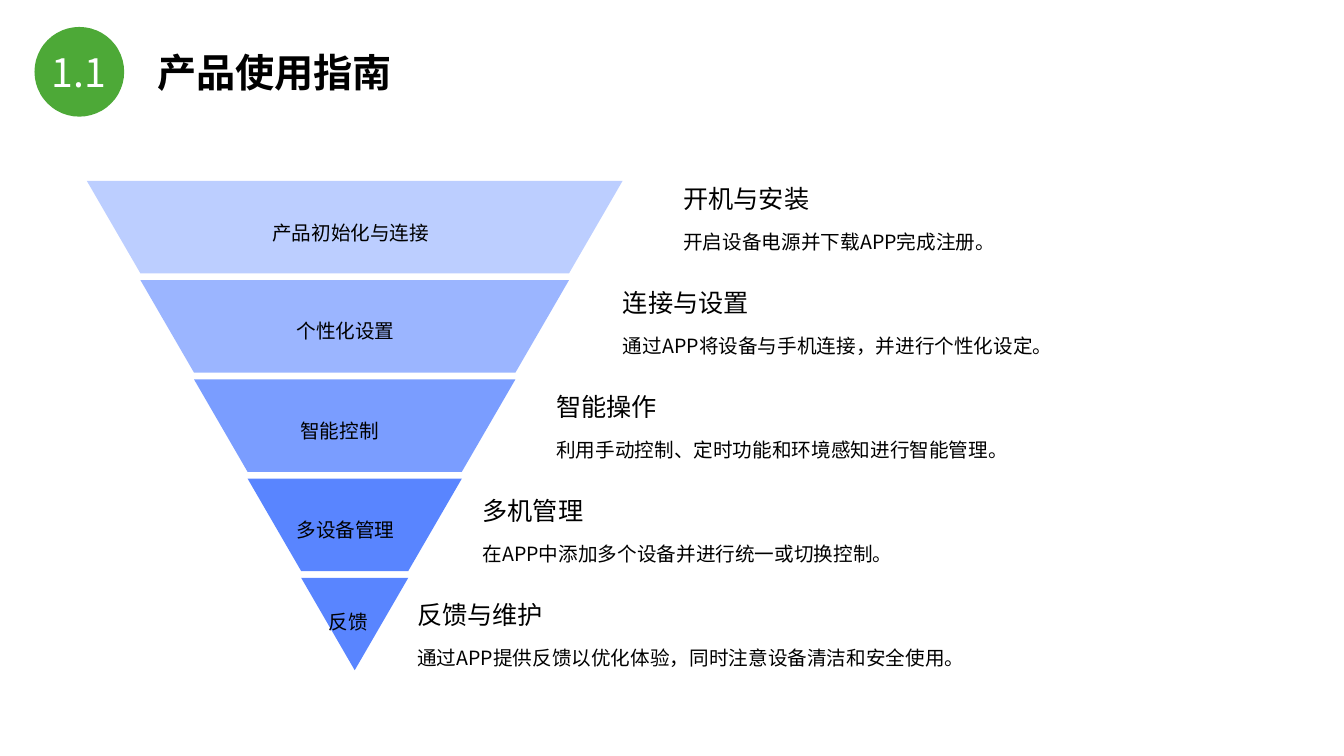
from lxml import etree
from pptx import Presentation
from pptx import util as u
from pptx.dml.color import RGBColor
from pptx.enum import shapes, text
from pptx.oxml.ns import qn

FONT = "Noto Sans CJK SC"
BAND_COUNT = 5
FUNNEL_LEFT, FUNNEL_TOP, FUNNEL_WIDTH = 2.19, 4.56, 13.5
BAND_HEIGHT, BAND_PITCH = 2.33, 2.5
BAND_INSET = FUNNEL_WIDTH / BAND_COUNT / 2
BAND_ALPHAS = (40, 60, 80, 100, 100)
CAPTION_TOP, CAPTION_PITCH = 4.58, 2.62

LABELS = (
    ("产品初始化与连接", 6.07, 5.13, 5.69, 0.79),
    ("个性化设置", 6.58, 7.62, 5.69, 0.89),
    ("智能控制", 6.58, 10.12, 5.69, 0.99),
    ("多设备管理", 6.58, 12.62, 5.69, 0.89),
    ("反馈", 7.6, 14.94, 3.66, 0.69),
)
CAPTIONS = (
    (16.97, "开机与安装", "开启设备电源并下载APP完成注册。"),
    (15.45, "连接与设置", "通过APP将设备与手机连接，并进行个性化设定。"),
    (13.77, "智能操作", "利用手动控制、定时功能和环境感知进行智能管理。"),
    (11.91, "多机管理", "在APP中添加多个设备并进行统一或切换控制。"),
    (10.26, "反馈与维护", "通过APP提供反馈以优化体验，同时注意设备清洁和安全使用。"),
)


def color(value):
    """Return the colour for a hex string."""
    return RGBColor.from_string(value)


def paint(shape, fill, alpha=100):
    """Give a shape a flat fill with no outline or shadow."""
    shape.shadow.inherit = False
    shape.line.fill.background()
    shape.fill.solid()
    shape.fill.fore_color.rgb = color(fill)
    if alpha < 100:
        solid = shape.fill._xPr.find(qn("a:solidFill"))
        etree.SubElement(solid[0], qn("a:alpha"), val=str(alpha * 1000))


def add_text(slide, content, left, top, width, height, *, size=14, fill="000000",
             bold=False, align=text.PP_ALIGN.LEFT, spacing=1.0,
             inset_x=0.25, inset_y=0.13, grow=False):
    """Add a one-paragraph text box, measured in centimetres."""
    shape = slide.shapes.add_textbox(u.Cm(left), u.Cm(top), u.Cm(width), u.Cm(height))
    frame = shape.text_frame
    frame.word_wrap = True
    frame.auto_size = (text.MSO_AUTO_SIZE.SHAPE_TO_FIT_TEXT if grow
                       else text.MSO_AUTO_SIZE.NONE)
    frame.margin_left = u.Cm(inset_x)
    frame.margin_right = u.Cm(min(inset_x, 0.25))
    frame.margin_top = frame.margin_bottom = u.Cm(inset_y)
    paragraph = frame.paragraphs[0]
    paragraph.alignment = align
    paragraph.line_spacing = spacing
    run = paragraph.add_run()
    run.text = content
    run.font.size = u.Pt(size)
    run.font.bold = bold
    run.font.color.rgb = color(fill)
    run.font.name = FONT
    etree.SubElement(run.font._element, qn("a:ea"), typeface=FONT)


def add_heading(slide):
    """Add the section number in its disc and the slide title."""
    add_text(slide, "产品使用指南", 3.78, 1.12, 7.47, 1.4, size=28, bold=True,
             inset_x=0.18, inset_y=0.1, grow=True)
    disc = slide.shapes.add_shape(shapes.MSO_SHAPE.OVAL, u.Cm(0.87), u.Cm(0.68),
                                  u.Cm(2.26), u.Cm(2.26))
    paint(disc, "4DA937")
    add_text(slide, "1.1", 0.74, 1.09, 2.49, 1.45, size=28, fill="FFFFFF",
             align=text.PP_ALIGN.CENTER, grow=True)


def add_band(slide, index, alpha):
    """Add one slice of the inverted triangle."""
    top = FUNNEL_TOP + index * BAND_PITCH
    bottom = top + BAND_HEIGHT
    left = FUNNEL_LEFT + index * BAND_INSET
    right = FUNNEL_LEFT + FUNNEL_WIDTH - index * BAND_INSET
    corners = [(right, top), (right - BAND_INSET, bottom), (left + BAND_INSET, bottom)]
    builder = slide.shapes.build_freeform(u.Cm(left), u.Cm(top))
    builder.add_line_segments([(u.Cm(x), u.Cm(y)) for x, y in corners], close=True)
    paint(builder.convert_to_shape(), "5985FF", alpha)


def add_caption(slide, index, left, heading, detail):
    """Add the heading and explanation beside one band."""
    top = CAPTION_TOP + index * CAPTION_PITCH
    add_text(slide, detail, left, top + 0.9, 15.19, 1.12, spacing=1.3)
    add_text(slide, heading, left, top, 6.68, 0.94, size=18, spacing=0.9, grow=True)


def main():
    """Build and save the slide."""
    presentation = Presentation()
    presentation.slide_width, presentation.slide_height = u.Cm(33.87), u.Cm(19.05)
    slide = presentation.slides.add_slide(presentation.slide_layouts[6])
    add_heading(slide)
    for index, alpha in enumerate(BAND_ALPHAS):
        add_band(slide, index, alpha)
    for index, caption in enumerate(CAPTIONS):
        add_caption(slide, index, *caption)
    for label, left, top, width, inset in LABELS:
        add_text(slide, label, left, top, width, 1.19, spacing=1.5, inset_x=inset)
    presentation.save("out.pptx")


if __name__ == "__main__":
    main()
